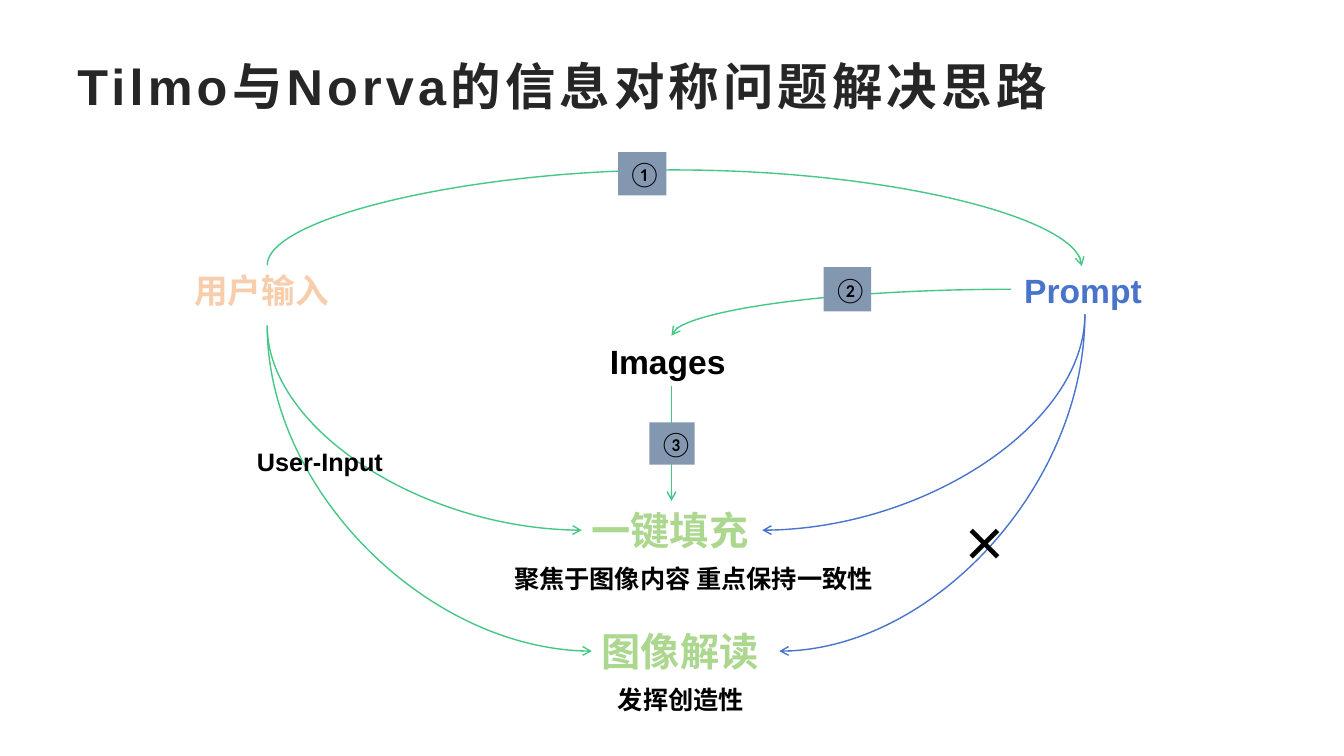
from lxml.etree import SubElement
from pptx import Presentation
from pptx.dml.color import RGBColor
from pptx.enum.shapes import MSO_CONNECTOR, MSO_SHAPE
from pptx.enum.text import MSO_ANCHOR, PP_ALIGN
from pptx.oxml.ns import qn
from pptx.util import Inches, Pt

WIDE, HIGH = 13.33, 7.5
HEX = {"ink": "262626", "black": "000000", "peach": "F8CDAC", "blue": "4874CB",
       "lime": "ACD78E", "green": "45C785", "slate": "8497B0"}

# text, (left, top, width, height), size, colour, bold
TITLE = ("Tilmo与Norva的信息对称问题解决思路", (0.67, 0.46, 12, 0.77), 36, "ink", True)
LABELS = [
    ("用户输入", (1.83, 2.63, 1.64, 0.6), 24, "peach", True),
    ("Prompt", (10.06, 2.63, 1.39, 0.48), 24, "blue", True),
    ("Images", (5.95, 3.33, 1.43, 0.5), 24, "black", True),
    ("User-Input", (2.45, 4.38, 1.63, 0.4), 18, "black", True),
    ("×", (9.47, 4.9, 0.79, 0.91), 48, "black", False),
    ("图像解读", (5.87, 6.17, 1.86, 0.57), 28, "lime", True),
    ("发挥创造性", (6.03, 6.74, 1.79, 0.4), 18, "black", True),
    ("一键填充", (5.77, 4.97, 1.79, 0.57), 28, "lime", True),
    ("聚焦于图像内容 重点保持一致性", (5, 5.54, 3.84, 0.4), 18, "black", True),
]
STEPS = [("①", (6.13, 1.51, 0.48, 0.43)), ("②", (8.17, 2.65, 0.47, 0.44)),
         ("③", (6.44, 4.19, 0.45, 0.42))]

USER, PROMPT, MID = 2.65, 10.76, 6.66
FILL, READ = 5.26, 6.46
RISE = 0.96
# start, end, colour
BENDS = [
    ((PROMPT, 3.12), (7.56, FILL), "blue"),
    ((USER, 3.23), (5.77, FILL), "green"),
    ((PROMPT, 3.12), (7.73, READ), "blue"),
    ((USER, 3.23), (5.87, READ), "green"),
]
ARCH = ((USER, 2.63), (10.73, 2.64), "green")
SIDE = ((10.03, 2.87), (MID, 3.33), "green")
DROP = ((MID, 3.83), (MID, 4.97), "green")

deck = Presentation()
deck.slide_width, deck.slide_height = Inches(WIDE), Inches(HIGH)
slide = deck.slides.add_slide(deck.slide_layouts[6])
shapes = slide.shapes


def rgb(name):
    return RGBColor.from_string(HEX[name])


def write(shape, text, size, color, bold=False, face="Arial", space=0):
    frame = shape.text_frame
    frame.word_wrap = True
    run = frame.paragraphs[0].add_run()
    run.text = text
    looks = {"name": face, "size": Pt(size), "bold": bold}
    for key, value in looks.items():
        setattr(run.font, key, value)
    run.font.color.rgb = rgb(color)
    if space:
        run.font._element.set("spc", str(space * 100))
    return frame


def label(text, area, size, color, bold, space=0):
    box = shapes.add_textbox(*map(Inches, area))
    return write(box, text, size, color, bold, space=space)


def step(text, area):
    tile = shapes.add_shape(MSO_SHAPE.RECTANGLE, *map(Inches, area))
    tile.shadow.inherit = False
    tile.fill.solid()
    tile.fill.fore_color.rgb = rgb("slate")
    tile.line.fill.background()
    frame = write(tile, text, 18, "black", face="Calibri")
    frame.vertical_anchor = MSO_ANCHOR.MIDDLE
    frame.paragraphs[0].alignment = PP_ALIGN.CENTER


def arrow(start, end, color, preset="curvedConnector2", turn=False, bend=None):
    """Draw an arrow; turn makes a curve leave its start vertically."""
    if turn:
        (x1, y1), (x2, y2) = start, end
        cx, cy = (x1 + x2) / 2, (y1 + y2) / 2
        dx, dy = (x2 - x1) / 2, (y2 - y1) / 2
        start, end = (cx - dy, cy + dx), (cx + dy, cy - dx)
    link = shapes.add_connector(MSO_CONNECTOR.STRAIGHT, *map(Inches, start + end))
    link.line.width = Pt(1)
    link.line.color.rgb = rgb(color)
    props = link._element.spPr
    if turn:
        props.find(qn("a:xfrm")).set("rot", str(90 * 60000))
    shape = props.find(qn("a:prstGeom"))
    shape.set("prst", preset)
    if bend is not None:
        guides = shape.find(qn("a:avLst"))
        if guides is None:
            guides = SubElement(shape, qn("a:avLst"))
        SubElement(guides, qn("a:gd"), name="adj1", fmla=f"val {round(bend * 100000)}")
    SubElement(props.find(qn("a:ln")), qn("a:tailEnd"), type="arrow")
    SubElement(props, qn("a:effectLst"))


label(*TITLE, space=3).vertical_anchor = MSO_ANCHOR.MIDDLE
for bend in BENDS:
    arrow(*bend, turn=True)
arrow(*ARCH, preset="curvedConnector3", turn=True, bend=-RISE / (ARCH[1][1] - ARCH[0][1]))
arrow(*SIDE)
arrow(*DROP, preset="straightConnector1")
for item in STEPS:
    step(*item)
for item in LABELS:
    label(*item)

deck.save("out.pptx")
